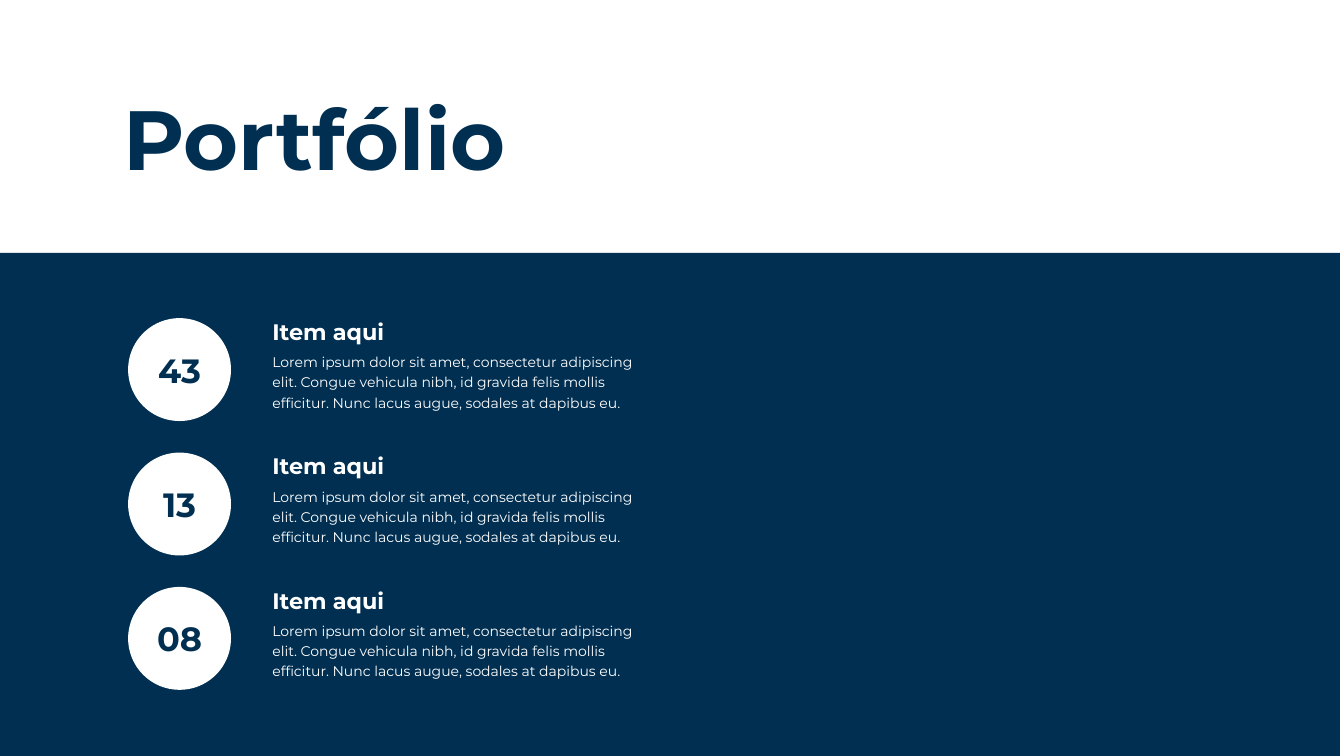
from pptx import Presentation
from pptx.dml.color import RGBColor
from pptx.enum.shapes import MSO_SHAPE
from pptx.enum.text import MSO_ANCHOR, PP_ALIGN
from pptx.util import Pt

SCALE = 9525
NAVY, WHITE = "002F51", "FFFFFF"
LOREM = ("Lorem ipsum dolor sit amet, consectetur adipiscing elit. "
         "Congue vehicula nibh, id gravida felis mollis efficitur. "
         "Nunc lacus augue, sodales at dapibus eu.")


def px(*sizes):
    """Turn pixel lengths into EMU."""
    return [size * SCALE for size in sizes]


def paint(target, color):
    """Set a solid colour on a fill."""
    target.solid()
    target.fore_color.rgb = RGBColor.from_string(color)


def write(frame, text, size=10, color=WHITE, bold=False, font="Montserrat",
          align=PP_ALIGN.LEFT, space=None):
    """Put one formatted paragraph into a text frame."""
    frame.word_wrap = True
    line = frame.paragraphs[0]
    line.alignment = align
    line.line_spacing = space
    run = line.add_run()
    run.text = text
    run.font.name = font
    run.font.size = Pt(size)
    run.font.bold = bold
    paint(run.font.fill, color)


class Deck:
    """Hold the style and the current slide."""

    def __init__(self, width, height):
        """Open a blank slide of the given size."""
        self.show = Presentation()
        self.show.slide_width, self.show.slide_height = px(width, height)
        self.slide = self.show.slides.add_slide(self.show.slide_layouts[6])
        paint(self.slide.background.fill, WHITE)

    def shape(self, kind, box, color):
        """Add a plain filled shape."""
        shape = self.slide.shapes.add_shape(kind, *px(*box))
        shape.shadow.inherit = False
        shape.line.fill.background()
        paint(shape.fill, color)
        return shape

    def text(self, text, box, **style):
        """Add a text box."""
        write(self.slide.shapes.add_textbox(*px(*box)).text_frame, text, **style)

    def badge(self, text, box):
        """Add a white circle with a number."""
        frame = self.shape(MSO_SHAPE.OVAL, box, WHITE).text_frame
        frame.margin_left = frame.margin_right = 0
        frame.vertical_anchor = MSO_ANCHOR.MIDDLE
        write(frame, text, size=24, color=NAVY, bold=True, align=PP_ALIGN.CENTER)

    def item(self, number, top):
        """Add one numbered row of the list."""
        self.badge(number, (122, top, 98, 98))
        self.text("Item aqui", (250, top - 5, 383, 36), size=16, bold=True)
        self.text(LOREM, (250, top + 26, 383, 78), space=1.2)


def main():
    """Build and save the slide."""
    deck = Deck(1280, 720)
    deck.shape(MSO_SHAPE.RECTANGLE, (-4, 241, 1280, 479), NAVY)
    deck.text("Portfólio", (108, 80, 744, 104), size=60, color=NAVY,
              bold=True, space=Pt(70))
    for row, number in enumerate(("43", "13", "08")):
        deck.item(number, 303 + 128 * row)
    deck.show.save("out.pptx")


if __name__ == "__main__":
    main()
